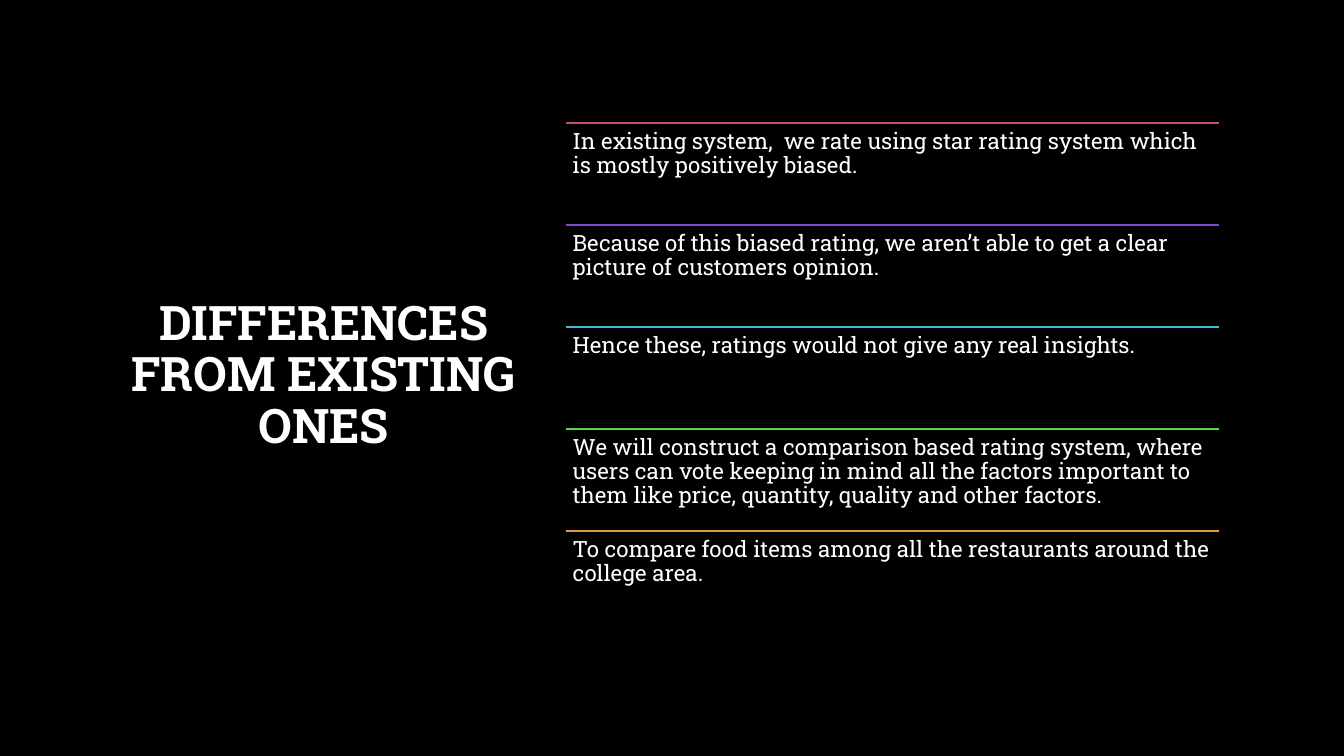
from pptx import Presentation
from pptx.dml.color import RGBColor
from pptx.enum.shapes import MSO_CONNECTOR
from pptx.enum.text import MSO_ANCHOR, PP_ALIGN
from pptx.oxml.ns import qn
from pptx.util import Inches, Pt
from lxml.etree import SubElement

BLACK = RGBColor(0x00, 0x00, 0x00)
WHITE = RGBColor(0xFF, 0xFF, 0xFF)
PINK = RGBColor(0xC5, 0x4F, 0x71)
PURPLE = RGBColor(0x82, 0x4A, 0xCB)
TEAL = RGBColor(0x45, 0xBC, 0xD2)
GREEN = RGBColor(0x54, 0xD8, 0x41)
ORANGE = RGBColor(0xDE, 0x9C, 0x3C)
FONT = "Roboto Slab"

# Grid of the list, in inches
LIST_LEFT, LIST_TOP = 5.61, 1.22
LIST_WIDTH, ROW_HEIGHT = 6.48, 1.0125

POINTS = [
    (PINK, "In existing system,  we rate using star rating system which "
           "is mostly positively biased."),
    (PURPLE, "Because of this biased rating, we aren’t able to get a clear "
             "picture of customers opinion."),
    (TEAL, "Hence these, ratings would not give any real insights."),
    (GREEN, "We will construct a comparison based rating system, where users "
            "can vote keeping in mind all the factors important to them like "
            "price, quantity, quality and other factors."),
    (ORANGE, "To compare food items among all the restaurants around the "
             "college area."),
]


def add_text(slide, left, top, width, height, words, size, inset=None,
             bold=False, align=PP_ALIGN.LEFT, anchor=MSO_ANCHOR.TOP):
    box = slide.shapes.add_textbox(
        Inches(left), Inches(top), Inches(width), Inches(height))
    frame = box.text_frame
    frame.word_wrap = True
    frame.vertical_anchor = anchor
    if inset is not None:
        frame.margin_left = frame.margin_right = Inches(inset)
        frame.margin_top = frame.margin_bottom = Inches(inset)
    paragraph = frame.paragraphs[0]
    paragraph.alignment = align
    paragraph.line_spacing = 0.9
    run = paragraph.add_run()
    run.text = words
    run.font.name = FONT
    run.font.size = Pt(size)
    run.font.bold = bold
    run.font.color.rgb = WHITE


def add_rule(slide, top, color):
    rule = slide.shapes.add_connector(
        MSO_CONNECTOR.STRAIGHT, Inches(LIST_LEFT), Inches(top),
        Inches(LIST_LEFT + LIST_WIDTH), Inches(top))
    rule.line.color.rgb = color
    rule.line.width = Pt(1)
    SubElement(rule._element.spPr, qn("a:effectLst"))


def add_point(slide, row, color, words):
    top = LIST_TOP + row * ROW_HEIGHT
    add_rule(slide, top, color)
    add_text(slide, LIST_LEFT, top, LIST_WIDTH, ROW_HEIGHT, words, 16,
             inset=0.07)


def main():
    deck = Presentation()
    deck.slide_width, deck.slide_height = Inches(13.33), Inches(7.5)
    slide = deck.slides.add_slide(deck.slide_layouts[6])
    slide.background.fill.solid()
    slide.background.fill.fore_color.rgb = BLACK

    # Title on the left
    add_text(slide, 0.82, 0.67, 4.78, 6.13, "DIFFERENCES FROM EXISTING ONES",
             34, bold=True, align=PP_ALIGN.CENTER, anchor=MSO_ANCHOR.MIDDLE)

    # Ruled list on the right
    for row, (color, words) in enumerate(POINTS):
        add_point(slide, row, color, words)

    deck.save("out.pptx")


if __name__ == "__main__":
    main()
